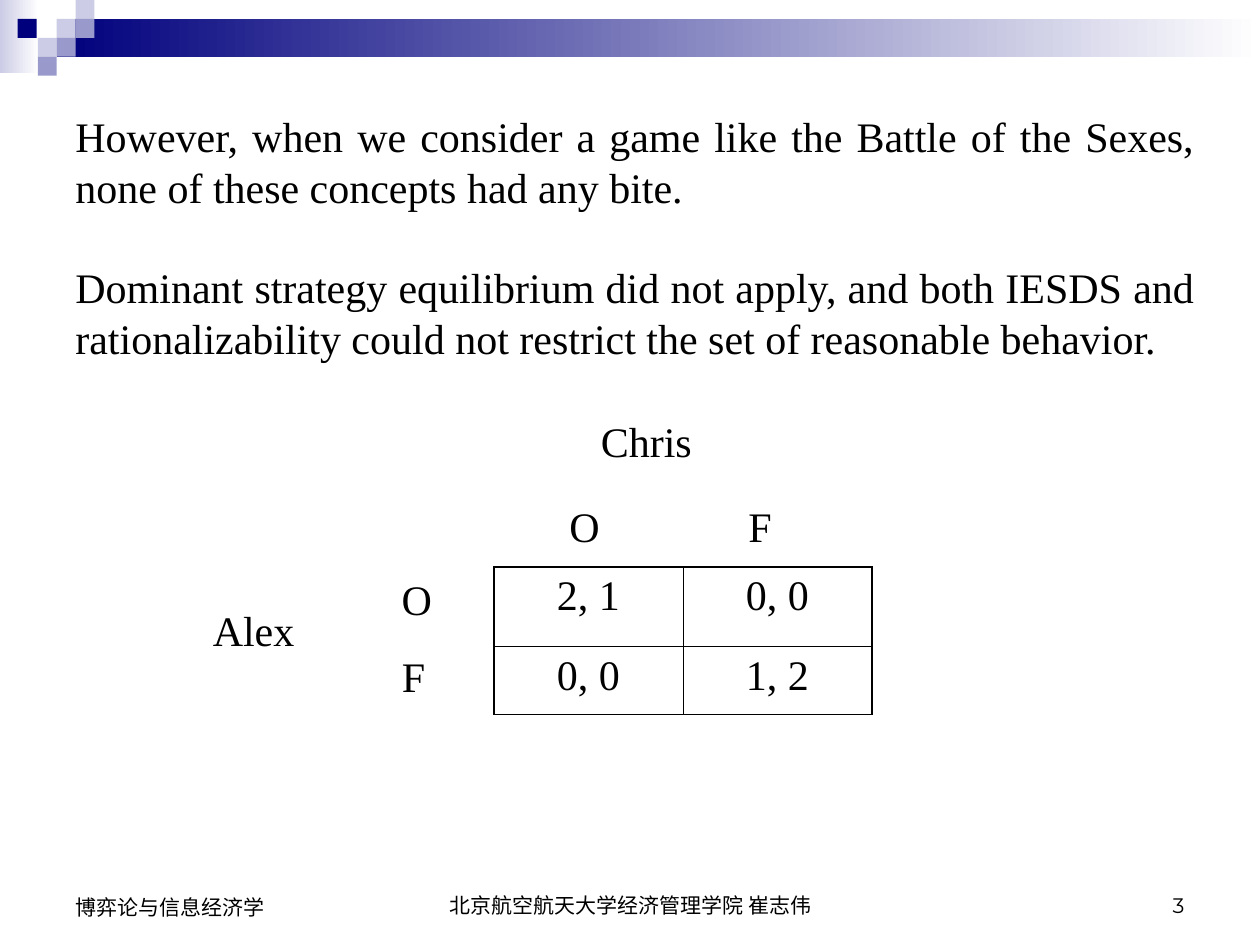
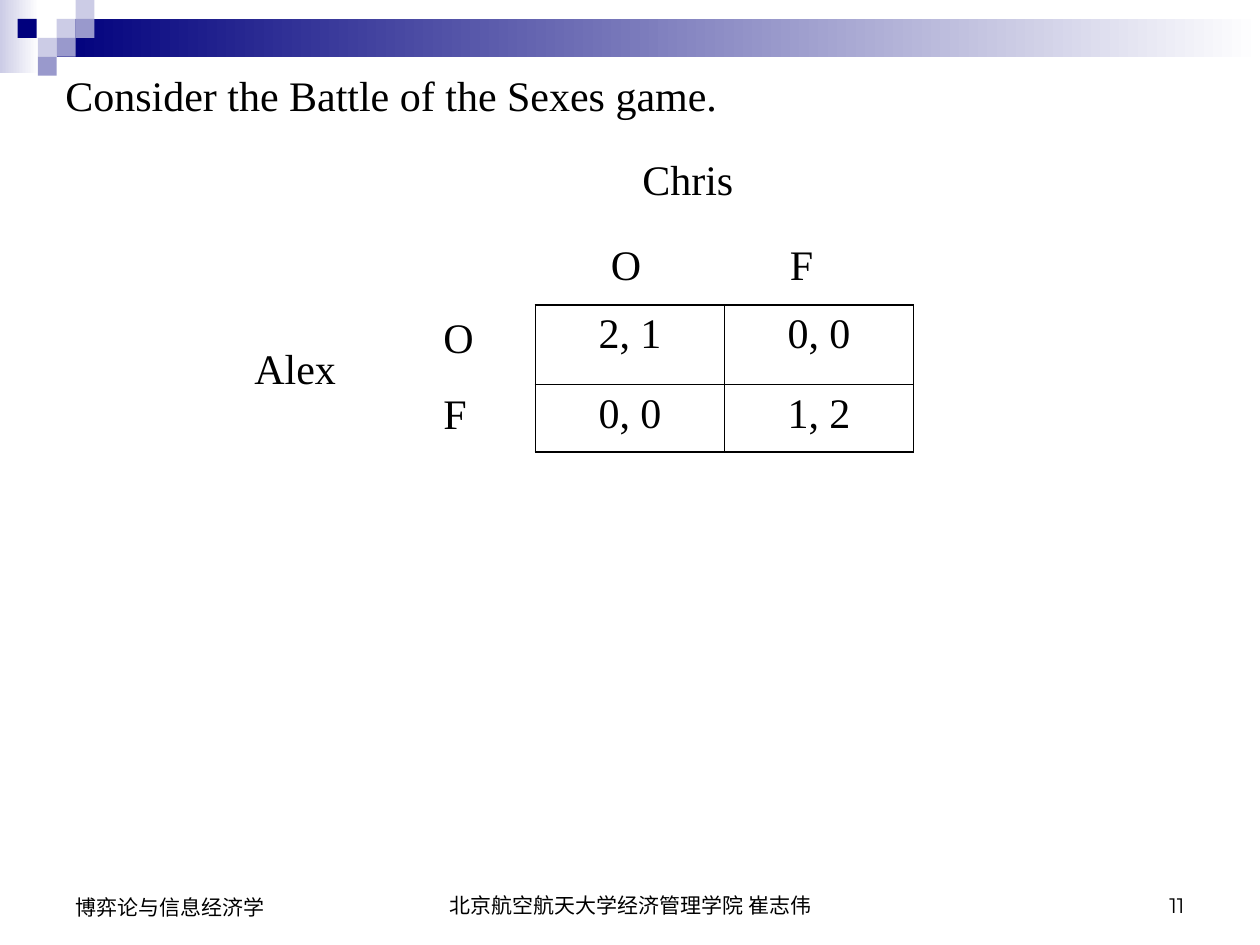
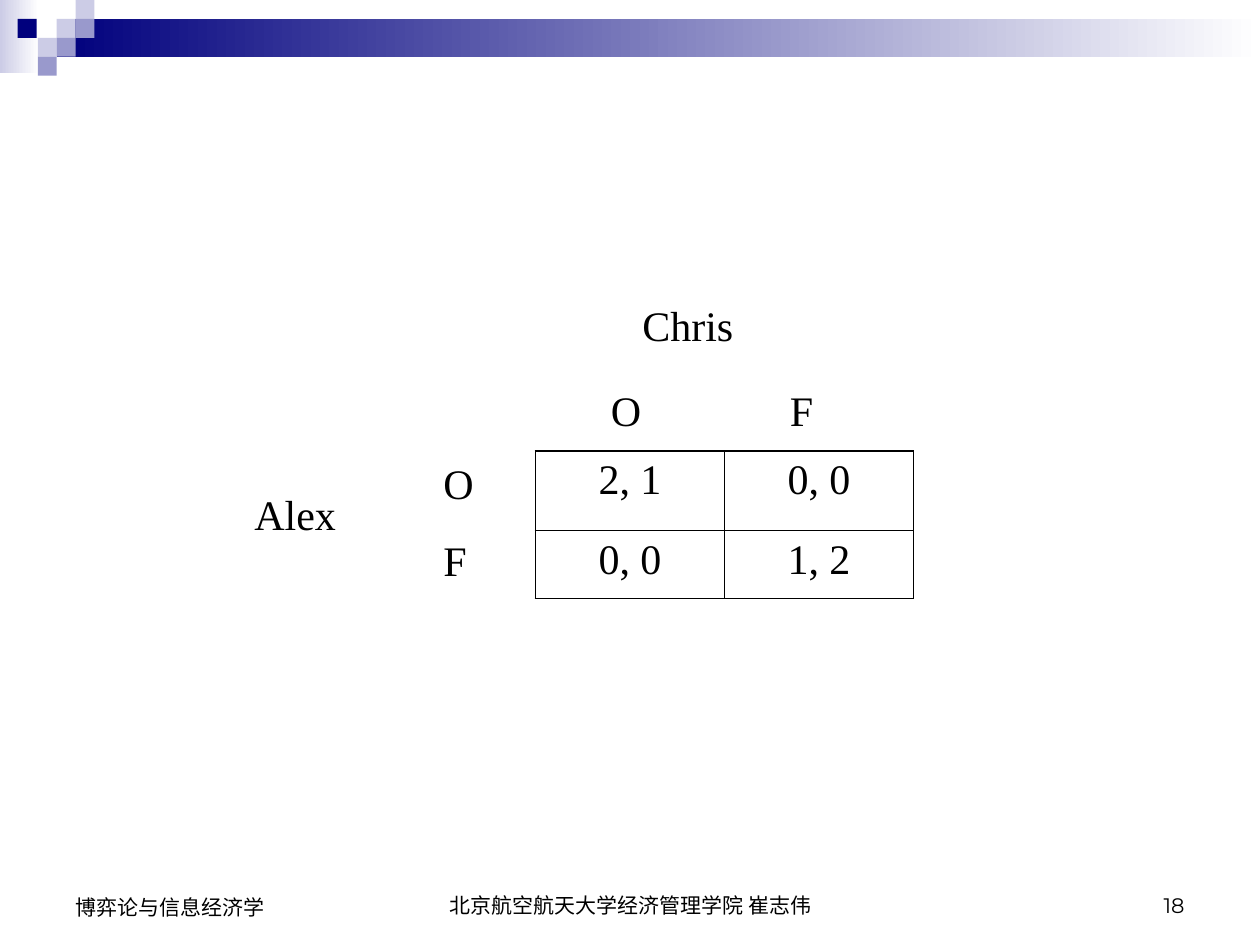
"""Builds three lecture slides about the Battle of the Sexes game."""
import pptx
import pptx.dml.color
import pptx.enum.shapes
import pptx.enum.text
import pptx.oxml.ns
import pptx.util
from lxml import etree
from pptx.util import Inches

ALIGN = pptx.enum.text.PP_ALIGN
ANCHOR = pptx.enum.text.MSO_ANCHOR

COLOURS = {
    "text": "000000",
    "navy": "00007D",
    "violet": "9999CC",
    "pale": "CCCCE6",
    "white": "FFFFFF",
}
BODY_FONT = "Times New Roman"
BODY_SIZE = 24
FOOTER_SIZE = 12
OUTER_LINE, INNER_LINE = 1.08, 0.45

TILE = 0.15
TILES = [
    (0.45, 0.15, "pale"),
    (0.6, 0, "pale"),
    (0.6, 0.15, "violet"),
    (0.3, 0.3, "pale"),
    (0.14, 0.15, "navy"),
    (0.45, 0.3, "violet"),
    (0.3, 0.45, "violet"),
]

COURSE = "博弈论与信息经济学"
SCHOOL = "北京航空航天大学经济管理学院 崔志伟"

PAYOFFS = [["2, 1", "0, 0"], ["0, 0", "1, 2"]]
COLUMN_WIDTH = 1.5
ROW_HEIGHTS = [0.63, 0.54]
GAME_LABELS = [
    ("O", -0.83, 0, 0.5),
    ("F", -0.83, 0.61, 0.58),
    ("Chris", 0.75, -1.25, 1.83),
    ("Alex", -2.33, 0.25, 1.08),
    ("O", 0.5, -0.58, 0.5),
    ("F", 1.92, -0.58, 0.58),
]

INTRODUCTION = [
    "However, when we consider a game like the Battle of the Sexes, "
    "none of these concepts had any bite.",
    "Dominant strategy equilibrium did not apply, and both IESDS and "
    "rationalizability could not restrict the set of reasonable behavior.",
]


def colour(name):
    """Return the named colour as an RGB value."""
    return pptx.dml.color.RGBColor.from_string(COLOURS[name])


def add_span(para, text, size=BODY_SIZE, font=BODY_FONT):
    """Add one formatted run to a paragraph."""
    span = para.add_run()
    span.text = text
    span.font.size = pptx.util.Pt(size)
    span.font.name = font
    span.font.color.rgb = colour("text")


def add_text(page, place, texts, align=ALIGN.LEFT, anchor=ANCHOR.TOP,
             size=BODY_SIZE, font=BODY_FONT):
    """Add a wrapping text box with one paragraph per text, a line apart."""
    box = page.shapes.add_textbox(*map(Inches, place))
    frame = box.text_frame
    frame.word_wrap = True
    frame.vertical_anchor = anchor
    for index, text in enumerate(texts):
        para = frame.add_paragraph() if index else frame.paragraphs[0]
        para.alignment = align
        if index:
            para.space_before = pptx.util.Pt(1.2 * size)
        add_span(para, text, size, font)


def add_block(page, place, start, end=None):
    """Add a borderless rectangle, plain or fading from start to end."""
    block = page.shapes.add_shape(
        pptx.enum.shapes.MSO_SHAPE.RECTANGLE, *map(Inches, place))
    block.shadow.inherit = False
    block.line.fill.background()
    if end is None:
        block.fill.solid()
        block.fill.fore_color.rgb = colour(start)
        return
    block.fill.gradient()
    block.fill.gradient_angle = 0
    for stop, name in zip(block.fill.gradient_stops, (start, end)):
        stop.color.rgb = colour(name)


def add_header(page):
    """Add the fading bands and the mosaic of tiles at the top."""
    add_block(page, (0, 0, 0.31, 0.58), "pale", "white")
    add_block(page, (0.45, 0.15, 9.55, 0.3), "navy", "white")
    for left, top, name in TILES:
        add_block(page, (left, top, TILE, TILE), name)


def add_footer(page, number):
    """Add the school, the slide number and the course at the bottom."""
    for place, text, align, font in [
        ((3.42, 6.83, 3.17, 0.5), SCHOOL, ALIGN.CENTER, "Arial"),
        ((7.17, 6.83, 2.33, 0.5), str(number), ALIGN.RIGHT, "Montserrat"),
        ((0.5, 6.83, 2.33, 0.52), COURSE, ALIGN.LEFT, "Arial"),
    ]:
        add_text(page, place, [text], align, ANCHOR.BOTTOM, FOOTER_SIZE, font)


def add_border(cell, side, width):
    """Draw one side (L, R, T or B) of a table cell."""
    name = pptx.oxml.ns.qn
    line = etree.SubElement(cell._tc.get_or_add_tcPr(), name(f"a:ln{side}"),
                            w=str(int(pptx.util.Pt(width))))
    fill = etree.SubElement(line, name("a:solidFill"))
    etree.SubElement(fill, name("a:srgbClr"), val=COLOURS["text"])


def add_payoff_table(page, left, top):
    """Add the payoff matrix with a heavier outer border."""
    rows, columns = len(PAYOFFS), len(PAYOFFS[0])
    table = page.shapes.add_table(
        rows, columns, Inches(left), Inches(top),
        Inches(columns * COLUMN_WIDTH), Inches(sum(ROW_HEIGHTS))).table
    table.first_row = table.horz_banding = False
    for row, height in zip(table.rows, ROW_HEIGHTS):
        row.height = Inches(height)
    for row, payoffs in enumerate(PAYOFFS):
        for column, payoff in enumerate(payoffs):
            cell = table.cell(row, column)
            para = cell.text_frame.paragraphs[0]
            para.alignment = ALIGN.CENTER
            add_span(para, payoff)
            for side, outer in [("L", column == 0), ("R", column == columns - 1),
                                ("T", row == 0), ("B", row == rows - 1)]:
                add_border(cell, side, OUTER_LINE if outer else INNER_LINE)
            cell.fill.background()


def add_game(page, left, top):
    """Add the payoff matrix with its player and strategy labels."""
    add_payoff_table(page, left, top)
    for text, across, down, width in GAME_LABELS:
        add_text(page, (left + across, top + down, width, 0.5), [text])


def add_page(deck, number):
    """Add a blank slide with the shared header and footer."""
    page = deck.slides.add_slide(deck.slide_layouts[6])
    add_header(page)
    add_footer(page, number)
    return page


def main():
    """Build the deck and save it."""
    deck = pptx.Presentation()
    deck.slide_width, deck.slide_height = Inches(10), Inches(7.5)

    page = add_page(deck, 3)
    add_text(page, (0.5, 0.83, 9.08, 2.1), INTRODUCTION, ALIGN.JUSTIFY)
    add_game(page, 3.92, 4.5)

    page = add_page(deck, 11)
    add_text(page, (0.42, 0.5, 8.92, 0.5),
             ["Consider the Battle of the Sexes game."])
    add_game(page, 4.25, 2.42)

    page = add_page(deck, 18)
    add_game(page, 4.25, 3.58)

    deck.save("out.pptx")


if __name__ == "__main__":
    main()
